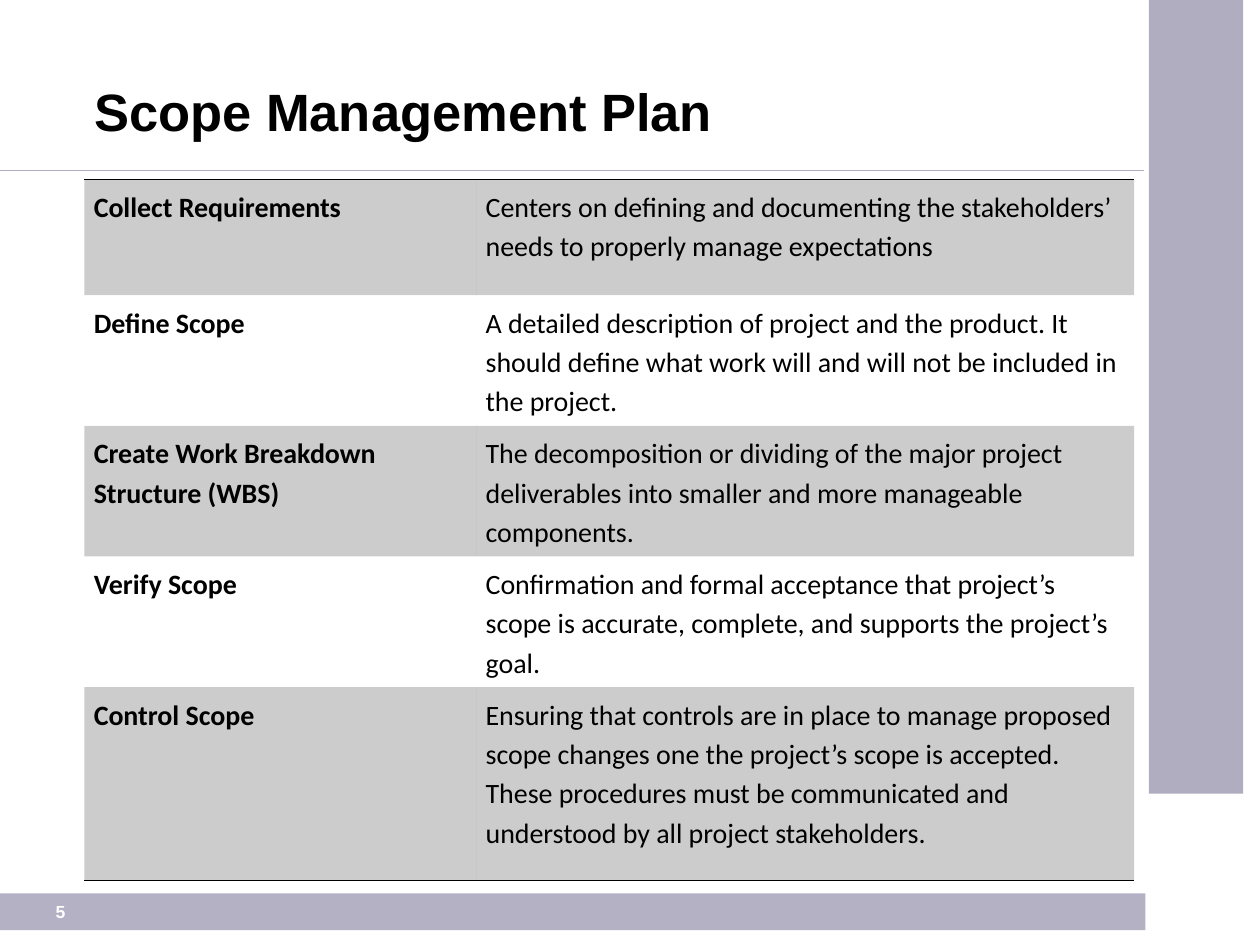
from lxml import etree
from pptx import Presentation
from pptx import util as u
from pptx.dml.color import RGBColor
from pptx.enum import shapes, text
from pptx.oxml import ns

COLORS = {"lavender": "B0ADC1", "black": "000000", "white": "FFFFFF"}

PROCESSES = [
    ("Collect Requirements",
     "Centers on defining and documenting the stakeholders’ needs to properly manage expectations"),
    ("Define Scope",
     "A detailed description of project and the product. It should define what work will "
     "and will not be included in the project."),
    ("Create Work Breakdown Structure (WBS)",
     "The decomposition or dividing of the major project deliverables into smaller "
     "and more manageable components."),
    ("Verify Scope",
     "Confirmation and formal acceptance that project’s scope is accurate, complete, "
     "and supports the project’s goal."),
    ("Control Scope",
     "Ensuring that controls are in place to manage proposed scope changes one the project’s "
     "scope is accepted. These procedures must be communicated and understood by all "
     "project stakeholders."),
]
COLUMN_WIDTHS = [u.Cm(7.9), u.Cm(13.26)]
ROW_HEIGHTS = [u.Cm(2.34)] * 4 + [u.Cm(3.89)]


def color(name):
    return RGBColor.from_string(COLORS[name])


def style_text(frame, font_name, size, color_name, bold):
    for paragraph in frame.paragraphs:
        paragraph.alignment = text.PP_ALIGN.LEFT
        for run in paragraph.runs:
            run.font.name = font_name
            run.font.size = u.Pt(size)
            run.font.bold = bold
            run.font.color.rgb = color(color_name)


def set_alpha(element, percent):
    rgb = next(element.iter(ns.qn("a:srgbClr")))
    etree.SubElement(rgb, ns.qn("a:alpha"), val=str(percent * 1000))


def add_band(slide, left, top, width, height):
    band = slide.shapes.add_shape(shapes.MSO_SHAPE.RECTANGLE, left, top, width, height)
    band.shadow.inherit = False
    band.fill.solid()
    band.fill.fore_color.rgb = color("lavender")
    band.line.fill.background()
    return band


def add_footer(slide, number):
    footer = add_band(slide, u.Cm(-0.1), u.Cm(18.01), u.Cm(23.19), u.Cm(0.74))
    set_alpha(footer.fill._xPr, 95)
    frame = footer.text_frame
    frame.text = number
    frame.margin_left = u.Cm(1.22)
    frame.vertical_anchor = text.MSO_ANCHOR.MIDDLE
    style_text(frame, "Arial", 10, "white", True)


def add_rule(slide):
    rule = slide.shapes.add_connector(
        shapes.MSO_CONNECTOR.STRAIGHT, u.Cm(0), u.Cm(3.43), u.Cm(23.06), u.Cm(3.43))
    rule.line.color.rgb = color("lavender")
    rule.line.width = u.Pt(0.75)
    etree.SubElement(rule._element.spPr, ns.qn("a:effectLst"))


def format_title(slide, wording):
    title = slide.shapes.title
    title.left, title.top = u.Cm(1.9), u.Cm(1.27)
    title.width, title.height = u.Cm(20.32), u.Cm(1.9)
    frame = title.text_frame
    frame.text = wording
    frame.margin_left = 0
    frame.vertical_anchor = text.MSO_ANCHOR.MIDDLE
    style_text(frame, "Arial", 30, "black", True)


def set_borders(cell, visible_sides):
    properties = cell._tc.get_or_add_tcPr()
    for side in "LRTB":
        border = etree.SubElement(properties, ns.qn(f"a:ln{side}"), w=str(u.Pt(0.45)))
        if side in visible_sides:
            fill = etree.SubElement(border, ns.qn("a:solidFill"))
            etree.SubElement(fill, ns.qn("a:srgbClr"), val=COLORS["black"])
        else:
            etree.SubElement(border, ns.qn("a:noFill"))


def fill_cell(cell, wording, bold, shaded, visible_sides):
    cell.text_frame.text = wording
    cell.text_frame.paragraphs[0].line_spacing = 1.15
    style_text(cell.text_frame, "Calibri", 16, "black", bold)
    cell.margin_left = cell.margin_right = u.Cm(0.19)
    set_borders(cell, visible_sides)
    if shaded:
        cell.fill.solid()
        cell.fill.fore_color.rgb = color("black")
        set_alpha(cell.fill._xPr.find(ns.qn("a:solidFill")), 20)
    else:
        cell.fill.background()


def add_process_table(slide):
    table = slide.shapes.add_table(
        len(PROCESSES), 2, u.Cm(1.7), u.Cm(3.61),
        sum(COLUMN_WIDTHS), sum(ROW_HEIGHTS)).table
    table.first_row = table.horz_banding = False
    for column, width in zip(table.columns, COLUMN_WIDTHS):
        column.width = width
    last = len(PROCESSES) - 1
    for r, process in enumerate(PROCESSES):
        table.rows[r].height = ROW_HEIGHTS[r]
        sides = {0: "T", last: "B"}.get(r, "")
        for c, wording in enumerate(process):
            fill_cell(table.cell(r, c), wording, c == 0, r % 2 == 0, sides)


def main():
    deck = Presentation()
    deck.slide_width, deck.slide_height = u.Cm(25.4), u.Cm(19.05)
    slide = deck.slides.add_slide(deck.slide_layouts[5])
    add_band(slide, u.Cm(23.16), u.Cm(0), u.Cm(1.9), u.Cm(16))
    add_footer(slide, "5")
    add_rule(slide)
    format_title(slide, "Scope Management Plan")
    add_process_table(slide)
    deck.save("out.pptx")


if __name__ == "__main__":
    main()
